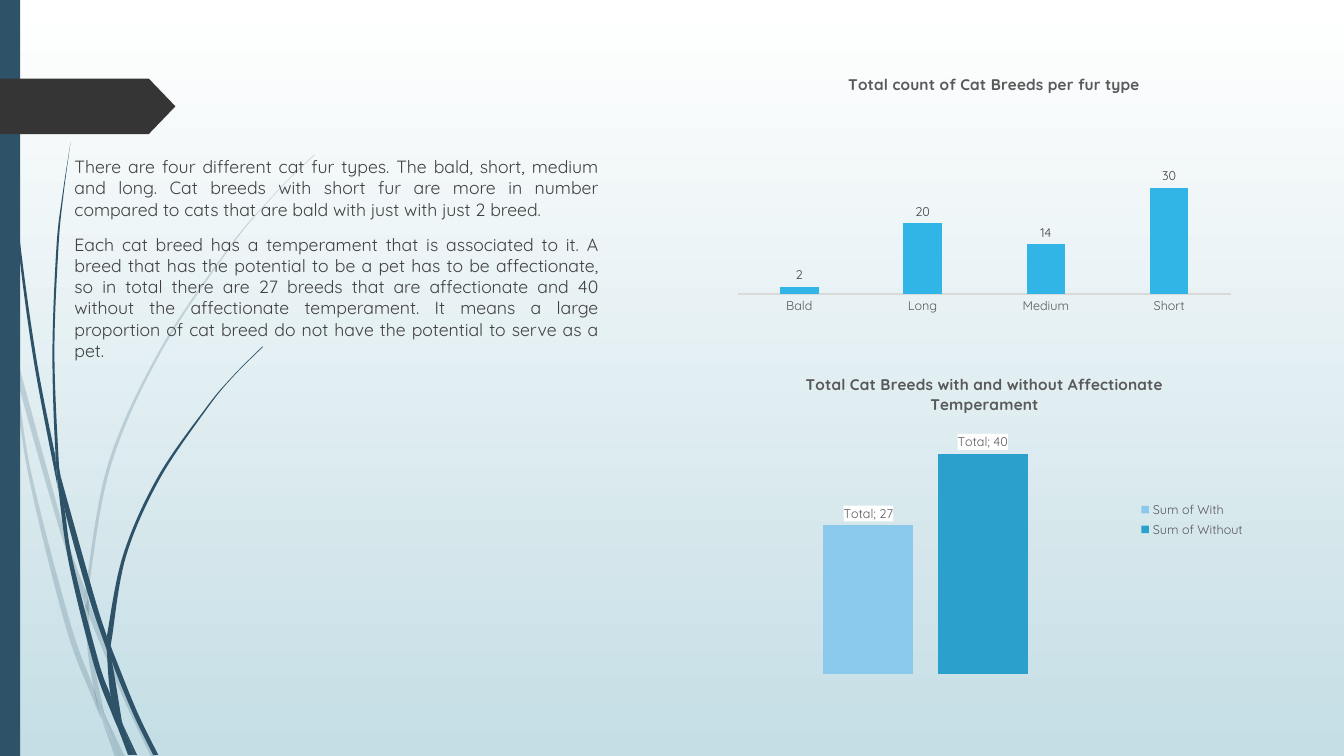
from pptx import Presentation
from pptx.chart.data import CategoryChartData
from pptx.dml.color import RGBColor
from pptx.enum.chart import XL_CHART_TYPE as ChartType, XL_LEGEND_POSITION as LegendPosition
from pptx.enum.chart import XL_LABEL_POSITION as LabelPosition, XL_TICK_MARK as TickMark
from pptx.enum.shapes import MSO_SHAPE as Preset
from pptx.enum.text import PP_ALIGN as Align
from pptx.oxml import parse_xml
from pptx.oxml.ns import nsdecls, qn
from pptx.util import Inches, Pt

FONT = "Quicksand"
COLOURS = {
    "top": "FFFFFF", "bottom": "C5DEE5", "navy": "2E5369", "arrow": "353535",
    "text": "404040", "muted": "595959", "axis": "D9D9D9",
    "fur": "31B4E6", "with": "8BC9EC", "without": "2BA0CC",
}
PARAGRAPHS = [
    "There are four different cat fur types. The bald, short, medium and long. Cat breeds with "
    "short fur are more in number compared to cats that are bald with just with just 2 breed.",
    "Each cat breed has a temperament that is associated to it. A breed that has the potential to "
    "be a pet has to be affectionate, so in total there are 27 breeds that are affectionate and 40 "
    "without the affectionate temperament. It means a large proportion of cat breed do not have "
    "the potential to serve as a pet.",
]
LIGHT_STRANDS = [
    ([(0, 2.99), (0.1, 3.44), (0.11, 3.5)], [(0, 2.82), (0.09, 3.22), (0.11, 3.5)]),
    ([(0.14, 3.45), (0.17, 3.76), (0.58, 5.22), (0.84, 5.99)], [(0.14, 3.45), (0.62, 5.2), (0.85, 5.86)]),
    ([(0.88, 5.96), (0.88, 6.1), (1.23, 6.94), (1.5, 7.51)], [(0.88, 5.96), (0.92, 6.07), (1.27, 6.92), (1.55, 7.51)]),
    ([(1.05, 7.11), (1.19, 7.51)], [(1.05, 7.11), (1.24, 7.51)]),
    ([(0.11, 3.5), (0.28, 4.7), (0.65, 6.21), (0.92, 6.93), (1.01, 7.14)],
     [(0.11, 3.5), (0.17, 3.76), (0.31, 4.69), (0.7, 6.19), (0.93, 6.83), (0.99, 7.07)]),
    ([(0.84, 5.99), (0.87, 6.46), (0.93, 6.83), (0.96, 6.92), (1.05, 7.11)],
     [(0.84, 5.99), (0.88, 6.08), (0.91, 6.46), (1.03, 7.06)]),
    ([(3.12, 1.53), (2.89, 1.75), (2.68, 1.97), (2.28, 2.44), (1.58, 3.48), (1.07, 4.61), (0.85, 5.84), (0.85, 5.86)],
     [(3.12, 1.54), (2.9, 1.75), (2.68, 1.98), (2.29, 2.45), (1.6, 3.49), (1.1, 4.62), (0.88, 5.84), (0.88, 5.96)]),
    ([(1.01, 7.14), (1.14, 7.51)], [(1.01, 7.14), (1.19, 7.51)]),
    ([(0.85, 5.86), (0.84, 5.99), (0.88, 6.08)], [(0.85, 5.86), (0.88, 5.96), (0.88, 6.1)]),
    ([(0.93, 6.83), (0.99, 7.07), (1.19, 7.51)], [(0.93, 6.83), (0.96, 6.92), (1.05, 7.11), (1.19, 7.51)]),
]
DARK_STRANDS = [
    ([(0.03, 0), (0.04, 0.48), (0.07, 1.1), (0.17, 2.33), (0.33, 3.55), (0.56, 4.77), (0.57, 4.81)],
     [(0.04, 0), (0.05, 0.48), (0.08, 1.09), (0.19, 2.32), (0.36, 3.55), (0.55, 4.53)]),
    ([(0.6, 4.72), (0.64, 5.05), (0.88, 5.92), (1.06, 6.45)], [(0.6, 4.72), (0.93, 5.9), (1.06, 6.31)]),
    ([(1.1, 6.41), (1.11, 6.56), (1.32, 7.08), (1.52, 7.49)], [(1.1, 6.41), (1.13, 6.49), (1.36, 7.06), (1.57, 7.49)]),
    ([(0.57, 4.77), (0.68, 5.57), (0.93, 6.59), (1.11, 7.08), (1.17, 7.22)],
     [(0.57, 4.77), (0.64, 5.05), (0.72, 5.56), (0.98, 6.57), (1.1, 6.91), (1.16, 7.17)]),
    ([(0.7, 1.41), (0.62, 1.93), (0.56, 2.45), (0.52, 3.49), (0.55, 4.49), (0.6, 4.72)],
     [(0.7, 1.41), (0.63, 1.93), (0.58, 2.45), (0.54, 3.49), (0.58, 4.53), (0.6, 4.72)]),
    ([(1.22, 7.19), (1.33, 7.49)], [(1.22, 7.19), (1.36, 7.49)]),
    ([(0.55, 4.49), (0.57, 4.77), (0.64, 5.05)], [(0.55, 4.49), (0.6, 4.72), (0.64, 5.05)]),
    ([(2.6, 3.44), (2.31, 3.73), (2.04, 4.05), (1.56, 4.74), (1.22, 5.51), (1.06, 6.31)],
     [(2.61, 3.44), (2.31, 3.74), (2.05, 4.06), (1.58, 4.76), (1.25, 5.52), (1.11, 6.33), (1.1, 6.41)]),
    ([(1.17, 7.22), (1.27, 7.49)], [(1.17, 7.22), (1.31, 7.49)]),
    ([(1.06, 6.45), (1.1, 6.91), (1.22, 7.19)], [(1.06, 6.45), (1.11, 6.56), (1.21, 7.16)]),
    ([(1.06, 6.31), (1.06, 6.45), (1.11, 6.56)], [(1.06, 6.31), (1.1, 6.41), (1.11, 6.56)]),
    ([(1.1, 6.91), (1.17, 7.22), (1.3, 7.49)], [(1.1, 6.91), (1.16, 7.06), (1.22, 7.19), (1.33, 7.49)]),
]


def colour(name):
    """Return a named colour."""
    return RGBColor.from_string(COLOURS[name])


def apply(target, values):
    """Set attributes from a dict."""
    for name, value in values.items():
        setattr(target, name, value)


def style_font(font, size, name, bold=False):
    """Format a font."""
    apply(font, {"name": FONT, "size": Pt(size), "bold": bold})
    font.color.rgb = colour(name)


def paint(shape, name):
    """Fill a shape and take away its outline and shadow."""
    shape.fill.solid()
    shape.fill.fore_color.rgb = colour(name)
    shape.line.fill.background()
    shape.shadow.inherit = False


def curve_edges(shape, split):
    """Turn the straight segments of both edges into smooth cubic curves."""
    points = list(shape._element.spPr.iter(qn("a:pt")))
    knots = [(int(point.get("x")), int(point.get("y"))) for point in points]
    for start, end in ((0, split), (split, len(knots))):
        edge = [knots[start], *knots[start:end], knots[end - 1]]
        for point, a, b, c, d in zip(points[start + 1:end], edge, edge[1:], edge[2:], edge[3:]):
            first = [q + (r - p) / 6 for p, q, r in zip(a, b, c)]
            second = [q - (r - p) / 6 for p, q, r in zip(b, c, d)]
            stops = "".join(f'<a:pt x="{x:.0f}" y="{y:.0f}"/>' for x, y in (first, second, c))
            line = point.getparent()
            line.getparent().replace(
                line, parse_xml(f'<a:cubicBezTo {nsdecls("a")}>{stops}</a:cubicBezTo>'))


def add_strand(slide, left, right, alpha=None):
    """Draw a curved ribbon between two edges."""
    outline = [(Inches(x), Inches(y)) for x, y in left + right[::-1]]
    builder = slide.shapes.build_freeform(*outline[0])
    builder.add_line_segments(outline[1:], close=True)
    strand = builder.convert_to_shape()
    curve_edges(strand, len(left))
    paint(strand, "navy")
    if alpha:
        fill_colour = strand._element.spPr.find(qn("a:solidFill"))[0]
        fill_colour.append(parse_xml(f'<a:alpha {nsdecls("a")} val="{alpha * 1000}"/>'))


def add_block(slide, preset, box, name):
    """Add a plain preset shape."""
    shape = slide.shapes.add_shape(preset, *map(Inches, box))
    paint(shape, name)
    return shape


def add_body(slide, box, texts):
    """Add justified paragraphs."""
    frame = slide.shapes.add_textbox(*map(Inches, box)).text_frame
    frame.word_wrap = True
    for index, text in enumerate(texts):
        paragraph = frame.paragraphs[0] if index == 0 else frame.add_paragraph()
        apply(paragraph, {"alignment": Align.JUSTIFY, "space_before": Pt(10)})
        run = paragraph.add_run()
        run.text = text
        style_font(run.font, 12.6, "text")


def add_column_chart(slide, box, title, categories, series, label_colour):
    """Add a clustered column chart with labels above its columns."""
    data = CategoryChartData()
    data.categories = categories
    for name, value, _ in series:
        data.add_series(name, value)
    chart = slide.shapes.add_chart(ChartType.COLUMN_CLUSTERED, *map(Inches, box), data).chart
    style_font(chart.font, 10, "muted")
    apply(chart, {"has_title": True, "has_legend": False})
    run = chart.chart_title.text_frame.paragraphs[0].add_run()
    run.text = title
    style_font(run.font, 11, "muted", True)
    apply(chart.value_axis, {"visible": False, "has_major_gridlines": False, "minimum_scale": 0})
    plot = chart.plots[0]
    apply(plot, {"gap_width": 219, "overlap": -27, "vary_by_categories": False})
    for column, (_, _, name) in zip(plot.series, series):
        column.format.fill.solid()
        column.format.fill.fore_color.rgb = colour(name)
        labels = column.data_labels
        apply(labels, {"show_value": True, "position": LabelPosition.OUTSIDE_END})
        style_font(labels.font, 9, label_colour)
    return chart


def place(part, index, target="", **fractions):
    """Fix a chart part's place as fractions of the chart."""
    for layout in part.findall(qn("c:layout")):
        part.remove(layout)
    items = "".join(f'<c:{key} val="{value}"/>' for key, value in fractions.items())
    part.insert(index, parse_xml(
        f'<c:layout {nsdecls("c")}><c:manualLayout>{target}'
        f'<c:xMode val="edge"/><c:yMode val="edge"/>{items}</c:manualLayout></c:layout>'))


def add_fur_chart(slide):
    """Add the chart of breeds per fur type."""
    chart = add_column_chart(
        slide, (7.08, 0.39, 5.37, 3.52), "Total count of Cat Breeds per fur type",
        ["Bald", "Long", "Medium", "Short"], [("Series 1", [2, 20, 14, 30], "fur")], "text")
    axis = chart.category_axis
    axis.major_tick_mark = TickMark.NONE
    style_font(axis.tick_labels.font, 9, "muted")
    axis.format.line.color.rgb = colour("axis")
    axis.format.line.width = Pt(0.75)
    place(chart._chartSpace.chart.plotArea, 0, '<c:layoutTarget val="inner"/>',
          x=0.044, y=0.368, w=0.911, h=0.35)
    place(chart.chart_title._element, 1, x=0.243, y=0.087)


def add_temperament_chart(slide):
    """Add the chart of breeds by affectionate temperament."""
    chart = add_column_chart(
        slide, (7.08, 3.56, 5.37, 3.19),
        "Total Cat Breeds with and without Affectionate Temperament", ["Total"],
        [("Sum of With", [27], "with"), ("Sum of Without", [40], "without")], "muted")
    chart.category_axis.visible = False
    chart.has_legend = True
    apply(chart.legend, {"position": LegendPosition.RIGHT, "include_in_layout": False})
    style_font(chart.legend.font, 9, "muted")
    for column in chart.plots[0].series:
        labels = column.data_labels
        labels.show_category_name = True
        labels._element.find(qn("c:txPr")).addprevious(parse_xml(
            f'<c:spPr {nsdecls("c", "a")}><a:solidFill><a:srgbClr val="{COLOURS["top"]}"/></a:solidFill></c:spPr>'))


def main():
    """Build the slide."""
    presentation = Presentation()
    apply(presentation, {"slide_width": Inches(13.33), "slide_height": Inches(7.5)})
    slide = presentation.slides.add_slide(presentation.slide_layouts[6])
    background = slide.background.fill
    background.gradient()
    background.gradient_angle = 270
    for stop, name in zip(background.gradient_stops, ("top", "bottom")):
        stop.color.rgb = colour(name)
    for strands, alpha in ((LIGHT_STRANDS, 20), (DARK_STRANDS, None)):
        for left, right in strands:
            add_strand(slide, left, right, alpha)
    add_block(slide, Preset.RECTANGLE, (0, 0, 0.2, 7.5), "navy")
    add_block(slide, Preset.PENTAGON, (0, 0.78, 1.74, 0.55), "arrow").adjustments[0] = 0.48
    add_body(slide, (0.64, 1.5, 5.39, 2.07), PARAGRAPHS)
    add_fur_chart(slide)
    add_temperament_chart(slide)
    presentation.save("out.pptx")


if __name__ == "__main__":
    main()
